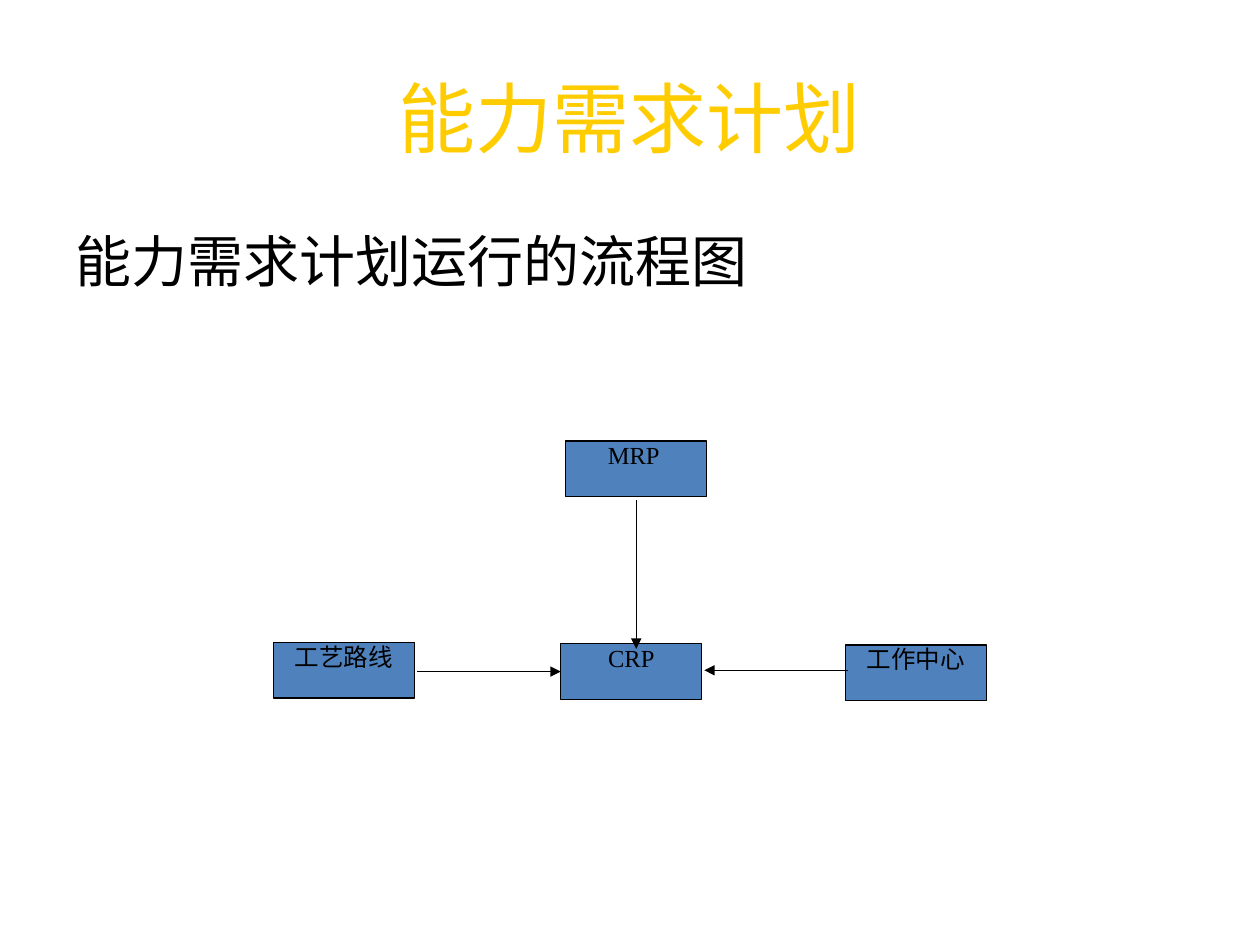
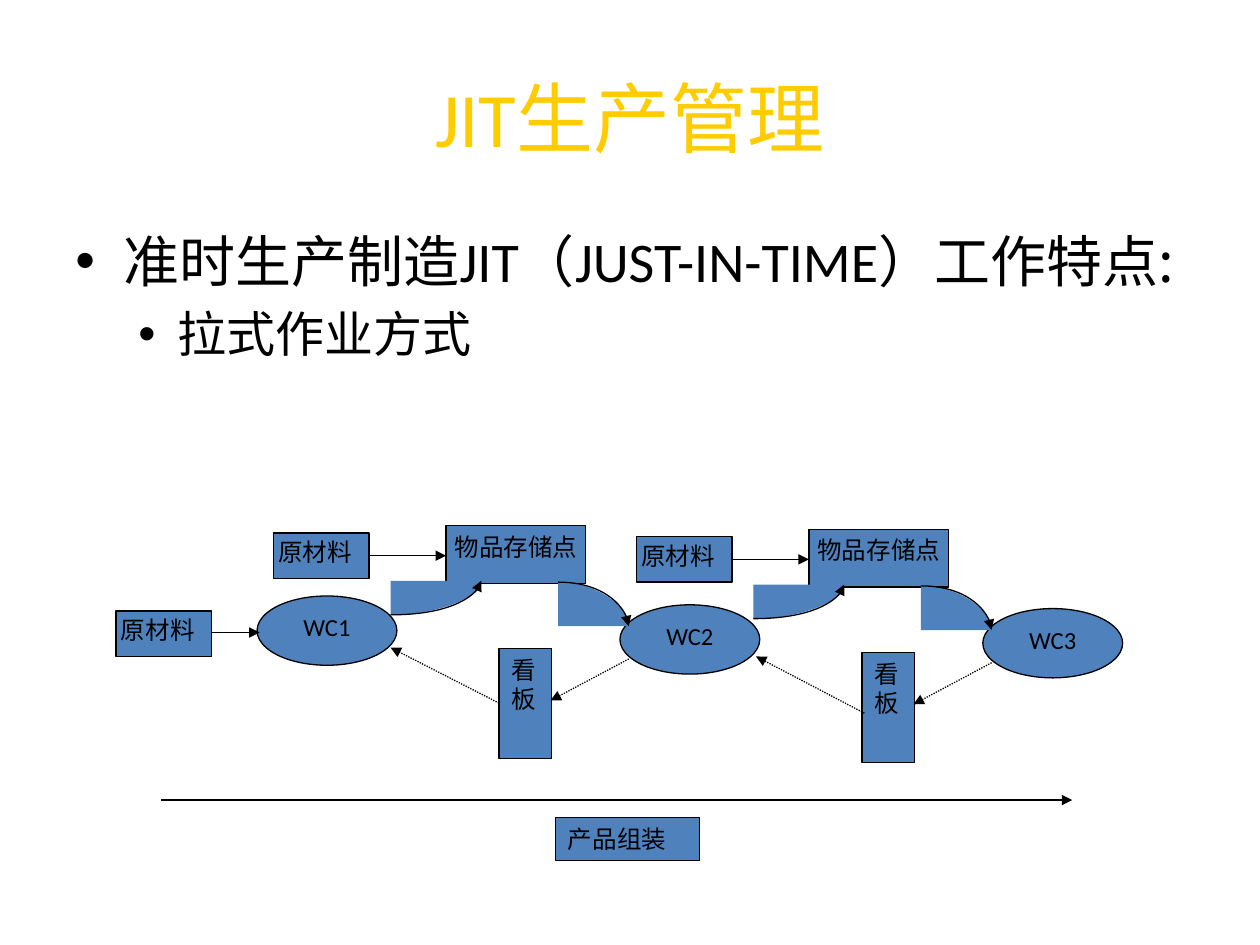
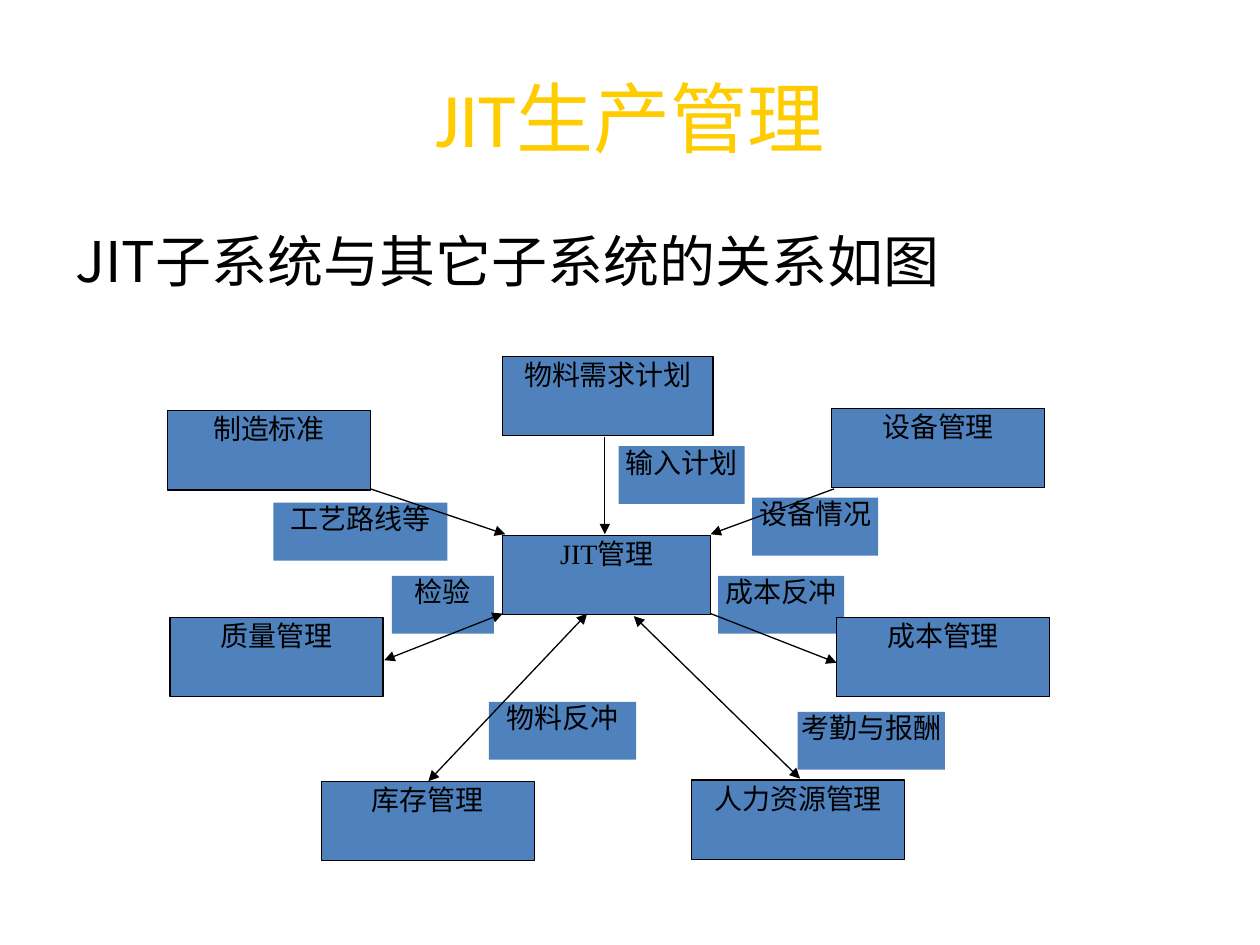
from dataclasses import dataclass

from lxml import etree
from pptx import Presentation
from pptx import util as u
from pptx.dml.color import RGBColor
from pptx.enum import dml, shapes, text
from pptx.oxml.ns import qn

CENTER, JUSTIFY, LEFT = text.PP_ALIGN.CENTER, text.PP_ALIGN.JUSTIFY, text.PP_ALIGN.LEFT
RECT, OVAL = shapes.MSO_SHAPE.RECTANGLE, shapes.MSO_SHAPE.OVAL


@dataclass(frozen=True)
class Theme:
    gold: RGBColor = RGBColor(0xFF, 0xCC, 0x00)
    ink: RGBColor = RGBColor(0, 0, 0)
    blue: RGBColor = RGBColor(0x4F, 0x81, 0xBD)
    sans: str = "Calibri"
    serif: str = "Times New Roman"
    cjk: str = "Noto Sans CJK SC"
    title: int = 44
    body: int = 32
    sub: int = 28
    flow: int = 14
    relation: int = 16
    line: float = 0.75


@dataclass(frozen=True)
class Label:
    """How the text sits in a diagram part."""
    size: int
    font: str = Theme.serif
    align: text.PP_ALIGN = CENTER
    inset: tuple = (0.1, 0.05)
    spacing: float = 1.0


T = Theme()
TIGHT = (0.02, 0.01)
PADDED = (0.04, 0.05)
STEP = Label(T.flow, inset=TIGHT, spacing=0.96)
CENTRE = Label(T.flow, font=T.sans)
STORE = Label(T.flow, font=T.sans, inset=PADDED)
MATERIAL = Label(T.flow, align=JUSTIFY, inset=PADDED, spacing=0.96)
KANBAN = Label(T.flow, font=T.cjk, align=JUSTIFY)
ASSEMBLY = Label(T.flow, align=LEFT)
SYSTEM = Label(T.relation, inset=TIGHT)
FLOW = Label(T.relation, inset=TIGHT, spacing=0.96)

# ---- Content: headings (body lines are level and (words, font) runs) ----
CRP_TITLE, JIT_TITLE = "能力需求计划", "JIT生产管理"
CRP_BODY = [(None, [("能力需求计划运行的流程图", T.cjk)])]
PULL_BODY = [
    (0, [("准时生产制造JIT（JUST-IN-TIME）", T.sans), ("工作特点:", T.cjk)]),
    (1, [("拉式作业方式", T.cjk)]),
]
RELATION_BODY = [(None, [("JIT子系统与其它子系统的关系如图", T.cjk)])]
LEVELS = [(T.body, 0.38, 0.38), (T.sub, 0.81, 0.31)]  # size, margin, hanging

# ---- Content: capacity planning flow ----
CRP_SIZE = (1.12, 0.44)
CRP_STEPS = [("工艺路线", 2.17, 5.1), ("MRP ", 4.49, 3.5),
             ("工作中心", 6.71, 5.12), ("CRP", 4.45, 5.11)]
CRP_ARROWS = [((5.05, 3.97), (5.05, 5.15)), ((3.31, 5.33), (4.45, 5.33)),
              ((6.73, 5.32), (5.59, 5.32))]

# ---- Content: one pull stage, repeated along the line ----
STAGE_SHIFT = (2.88, 0.03)
WORK_SIZE, MATERIAL_SIZE = (1.11, 0.55), (0.76, 0.36)
STAGE_PARTS = [("看板", 3.96, 5.15, 0.42, 0.87, KANBAN),
               ("物品存储点", 3.54, 4.17, 1.11, 0.46, STORE),
               ("原材料", 2.17, 4.23, *MATERIAL_SIZE, MATERIAL)]
STAGE_SUPPLY = ((2.92, 4.41), (3.54, 4.41))
STAGE_ARCS = [((3.1, 4.88), (3.82, 4.61)), ((4.43, 4.62), (4.99, 4.97))]
STAGE_DEMAND = ((4.99, 5.23), (4.37, 5.56))
STAGE_RETURNS = [((3.96, 5.58), (3.1, 5.14)), ((6.86, 5.66), (6, 5.21))]

# ---- Content: subsystems around JIT ----
SYSTEM_HEIGHT, FLOW_HEIGHT = 0.63, 0.46
FLOWS = [("工艺路线等", 2.17, 3.99, 1.38), ("检验", 3.11, 4.57, 0.81),
         ("物料反冲", 3.88, 5.57, 1.17), ("考勤与报酬", 6.33, 5.65, 1.17),
         ("设备情况", 5.97, 3.95, 1), ("成本反冲", 5.7, 4.57, 1),
         ("输入计划", 4.91, 3.54, 1)]
SYSTEMS = [("设备管理", 6.6, 3.24, 1.69), ("物料需求计划", 3.99, 2.83, 1.67),
           ("JIT管理", 3.99, 4.25, 1.65), ("制造标准", 1.33, 3.26, 1.61),
           ("库存管理", 2.55, 6.2, 1.69), ("成本管理", 6.64, 4.9, 1.69),
           ("人力资源管理", 5.49, 6.19, 1.69), ("质量管理", 1.35, 4.9, 1.69)]
ONE_WAY = [((4.8, 3.47), (4.8, 4.24)), ((2.94, 3.88), (4.01, 4.24)),
           ((6.62, 3.88), (5.64, 4.24)), ((5.64, 4.87), (6.64, 5.26))]
TWO_WAY = [((3.99, 4.87), (3.05, 5.24)), ((3.4, 6.2), (4.66, 4.87)),
           ((5.03, 4.89), (6.35, 6.18))]


# ---- Shared drawing ----
def style_run(run, size, font, color=T.ink):
    run.font.size, run.font.name = u.Pt(size), font
    run.font.color.rgb = color
    etree.SubElement(run.font._element, qn("a:ea"), typeface=T.cjk)


def add_heading(slide, title, lines):
    frame = slide.shapes.add_textbox(*map(u.Inches, (0.5, 0.3, 9, 1.25))).text_frame
    frame.word_wrap, frame.vertical_anchor = True, text.MSO_ANCHOR.MIDDLE
    frame.text = title
    frame.paragraphs[0].alignment = CENTER
    style_run(frame.paragraphs[0].runs[0], T.title, T.sans, T.gold)

    frame = slide.shapes.add_textbox(*map(u.Inches, (0.5, 1.75, 9, 4.95))).text_frame
    frame.word_wrap = True
    for index, (level, runs) in enumerate(lines):
        line = frame.add_paragraph() if index else frame.paragraphs[0]
        size, margin, hanging = LEVELS[level or 0]
        if level is not None:
            props = line._p.get_or_add_pPr()
            props.set("marL", str(u.Inches(margin)))
            props.set("indent", str(-u.Inches(hanging)))
            etree.SubElement(props, qn("a:buFont"), typeface="Arial")
            etree.SubElement(props, qn("a:buChar"), char="•")
            line.level = level
        if index:
            line.space_before = u.Pt(0.2 * size)
        for words, font in runs:
            run = line.add_run()
            run.text = words
            style_run(run, size, font)


def add_part(slide, words, x, y, w, h, label, preset=RECT, outlined=True):
    part = slide.shapes.add_shape(preset, *map(u.Inches, (x, y, w, h)))
    paint(part, outlined)
    frame = part.text_frame
    frame.word_wrap, frame.vertical_anchor = True, text.MSO_ANCHOR.TOP
    frame.margin_left = frame.margin_right = u.Inches(label.inset[0])
    frame.margin_top = frame.margin_bottom = u.Inches(label.inset[1])
    frame.text = words
    line = frame.paragraphs[0]
    line.alignment, line.line_spacing = label.align, label.spacing
    style_run(line.runs[0], label.size, label.font)


def paint(part, outlined=True, ends=()):
    part.shadow.inherit = False
    part.fill.solid()
    part.fill.fore_color.rgb = T.blue
    if outlined:
        draw_line(part.line, ends)
    else:
        part.line.fill.background()


def draw_line(line, ends=()):
    line.color.rgb, line.width = T.ink, u.Pt(T.line)
    for end in ends:
        etree.SubElement(line._get_or_add_ln(), qn(f"a:{end}"), type="triangle")


def add_arrow(slide, start, end, dotted=False, both=False):
    arrow = slide.shapes.add_connector(
        shapes.MSO_CONNECTOR.STRAIGHT, *map(u.Inches, (*start, *end)))
    if dotted:
        arrow.line.dash_style = dml.MSO_LINE.ROUND_DOT
    draw_line(arrow.line, ("headEnd", "tailEnd") if both else ("tailEnd",))
    etree.SubElement(arrow._element.spPr, qn("a:effectLst"))


def add_arc(slide, start, end):
    """Quarter ellipse: a curved arrow along a filled wedge."""
    x0, y0, x1, y1 = map(u.Inches, (*start, *end))
    builder = slide.shapes.build_freeform(x0, y0)
    builder.add_line_segments([(x1, y1), (x0, y1)])
    part = builder.convert_to_shape()
    paint(part, ends=("tailEnd",))

    # Bend the outline: one stroked curve, one filled wedge
    begin, finish, corner = [(x - x0, y - min(y0, y1))
                             for x, y in ((x0, y0), (x1, y1), (x0, y1))]
    pull = 0.55
    bends = [(round(pull * finish[0]), begin[1]),
             (finish[0], round(finish[1] + (1 - pull) * (begin[1] - finish[1])))]
    curve = [("moveTo", [begin]), ("cubicBezTo", [*bends, finish])]
    wedge = [*curve, ("lnTo", [corner]), ("close", [])]
    outlines = part._element.spPr.find(qn("a:custGeom")).find(qn("a:pathLst"))
    for old in list(outlines):
        outlines.remove(old)
    for moves, look in ((curve, {"fill": "none"}), (wedge, {"stroke": "0"})):
        outline = etree.SubElement(outlines, qn("a:path"), w=str(part.width),
                                   h=str(part.height), **look)
        for move, points in moves:
            step = etree.SubElement(outline, qn(f"a:{move}"))
            for x, y in points:
                etree.SubElement(step, qn("a:pt"), x=str(x), y=str(y))


# ---- Slides ----
def build_crp(slide):
    add_heading(slide, CRP_TITLE, CRP_BODY)
    for words, x, y in CRP_STEPS:
        add_part(slide, words, x, y, *CRP_SIZE, STEP)
    for ends in CRP_ARROWS:
        add_arrow(slide, *ends)


def build_stage(slide, number):
    dx, dy = (number * shift for shift in STAGE_SHIFT)

    def moved(ends):
        return [(x + dx, y + dy) for x, y in ends]

    add_part(slide, f"WC{number + 2}", 4.92 + dx, 4.8 + dy, *WORK_SIZE, CENTRE, OVAL)
    for words, x, y, w, h, label in STAGE_PARTS:
        add_part(slide, words, x + dx, y + dy, w, h, label)
    add_arrow(slide, *moved(STAGE_SUPPLY))
    for ends in STAGE_ARCS:
        add_arc(slide, *moved(ends))
    add_arrow(slide, *moved(STAGE_DEMAND), dotted=True)
    add_arrow(slide, *STAGE_RETURNS[number], dotted=True)


def build_pull(slide):
    add_heading(slide, JIT_TITLE, PULL_BODY)
    add_part(slide, "WC1", 2.04, 4.73, *WORK_SIZE, CENTRE, OVAL)
    add_arrow(slide, (1.66, 5.02), (2.06, 5.02))
    add_part(slide, "原材料", 0.92, 4.85, *MATERIAL_SIZE, MATERIAL)
    for number in (1, 0):  # the later stage lies behind the earlier one
        build_stage(slide, number)
    add_part(slide, "产品组装", 4.41, 6.49, 1.14, 0.34, ASSEMBLY)
    add_arrow(slide, (1.28, 6.35), (8.51, 6.35))


def build_relations(slide):
    add_heading(slide, JIT_TITLE, RELATION_BODY)
    for words, x, y, w in FLOWS:
        add_part(slide, words, x, y, w, FLOW_HEIGHT, FLOW, outlined=False)
    for words, x, y, w in SYSTEMS:
        add_part(slide, words, x, y, w, SYSTEM_HEIGHT, SYSTEM)
    for arrows, both in ((ONE_WAY, False), (TWO_WAY, True)):
        for ends in arrows:
            add_arrow(slide, *ends, both=both)


def main():
    deck = Presentation()
    deck.slide_width, deck.slide_height = u.Inches(10), u.Inches(7.5)
    for build in (build_crp, build_pull, build_relations):
        build(deck.slides.add_slide(deck.slide_layouts[6]))
    deck.save("out.pptx")


if __name__ == "__main__":
    main()
